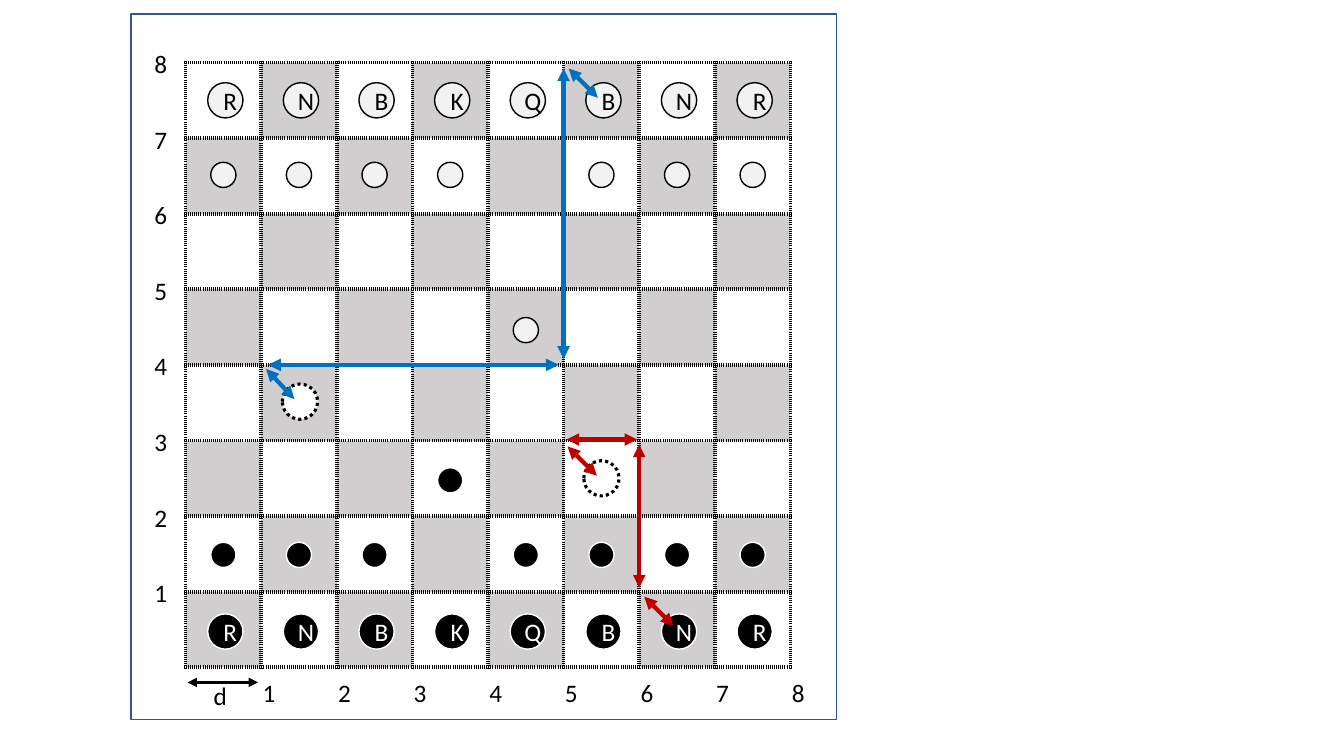
from lxml import etree
from pptx import Presentation
from pptx.dml.color import RGBColor
from pptx.enum.dml import MSO_LINE
from pptx.enum.shapes import MSO_CONNECTOR, MSO_SHAPE
from pptx.enum.text import MSO_ANCHOR, PP_ALIGN
from pptx.oxml.ns import qn
from pptx.util import Inches, Pt

RECT, OVAL = MSO_SHAPE.RECTANGLE, MSO_SHAPE.OVAL
STRAIGHT = MSO_CONNECTOR.STRAIGHT
DOTTED = MSO_LINE.ROUND_DOT
MIDDLE = MSO_ANCHOR.MIDDLE
LEFT, CENTER, RIGHT = PP_ALIGN.LEFT, PP_ALIGN.CENTER, PP_ALIGN.RIGHT

COLORS = {
    "frame": "325491",
    "square": "D0CECE",
    "black": "000000",
    "white": "FFFFFF",
    "light": "F2F2F2",
    "blue": "0070C0",
    "red": "C00000",
}
N = 8
CELL = 0.75
PAWN, PIECE = 0.25, 0.35
BACK_RANK = "RNBKQBNR"


class Board:
    font = "Calibri"
    size = 18

    def __init__(self, slide):
        self.slide = slide

    def color(self, name):
        return RGBColor.from_string(COLORS[name])

    def label(self, tf, text, color="black", align=LEFT):
        tf.text = text
        p = tf.paragraphs[0]
        p.alignment = align
        r = p.runs[0]
        r.font.name = self.font
        r.font.size = Pt(self.size)
        r.font.color.rgb = self.color(color)

    def shape(self, kind, x, y, w, h, fill, line, width=1, dash=None):
        s = self.slide.shapes.add_shape(kind, Inches(x), Inches(y), Inches(w), Inches(h))
        s.shadow.inherit = False
        if fill:
            s.fill.solid()
            s.fill.fore_color.rgb = self.color(fill)
        else:
            s.fill.background()
        s.line.color.rgb = self.color(line)
        s.line.width = Pt(width)
        if dash:
            s.line.dash_style = dash
        return s

    def pawn(self, x, y, fill, line):
        self.shape(OVAL, x, y, PAWN, PAWN, fill, line)

    def piece(self, x, y, letter, fill, line):
        tf = self.shape(OVAL, x, y, PIECE, PIECE, fill, line).text_frame
        tf.word_wrap = False
        tf.vertical_anchor = MIDDLE
        tf.margin_left = Inches(0.1)
        tf.margin_right = tf.margin_top = tf.margin_bottom = 0
        self.label(tf, letter, line, CENTER)

    def target(self, x, y):
        self.shape(OVAL, x, y, PIECE, PIECE, "white", "black", 2.25, DOTTED)

    def arrow(self, x1, y1, x2, y2, color, width=3):
        c = self.slide.shapes.add_connector(
            STRAIGHT, Inches(x1), Inches(y1), Inches(x2), Inches(y2))
        c.line.color.rgb = self.color(color)
        c.line.width = Pt(width)
        ln = c._element.spPr.find(qn("a:ln"))
        for end in ("a:headEnd", "a:tailEnd"):
            etree.SubElement(ln, qn(end), type="triangle")
        etree.SubElement(c._element.spPr, qn("a:effectLst"))

    def borders(self, cell, color):
        tcPr = cell._tc.get_or_add_tcPr()
        for i, side in enumerate(("a:lnL", "a:lnR", "a:lnT", "a:lnB")):
            ln = etree.Element(qn(side), w=str(Pt(3)))
            tcPr.insert(i, ln)
            if color:
                fill = etree.SubElement(ln, qn("a:solidFill"))
                etree.SubElement(fill, qn("a:srgbClr"), val=COLORS[color])
                etree.SubElement(ln, qn("a:prstDash"), val="sysDot")
            else:
                etree.SubElement(ln, qn("a:noFill"))

    def table(self, x, y, rows, cols, w, h, border=None):
        t = self.slide.shapes.add_table(
            rows, cols, Inches(x), Inches(y), Inches(w), Inches(h)).table
        t.first_row = t.horz_banding = False
        for cell in t.iter_cells():
            cell.fill.background()
            self.borders(cell, border)
        return t

    def checkers(self, x, y):
        t = self.table(x, y, N, N, N * CELL, N * CELL, "black")
        for row in range(N):
            for col in range(N):
                if (row + col) % 2:
                    cell = t.cell(row, col)
                    cell.fill.solid()
                    cell.fill.fore_color.rgb = self.color("square")

    def axis(self, x, y, rows, cols, w, h, values, align):
        t = self.table(x, y, rows, cols, w, h)
        for cell, value in zip(t.iter_cells(), values):
            self.label(cell.text_frame, str(value), align=align)

    def caption(self, x, y, w, h, text):
        tf = self.slide.shapes.add_textbox(
            Inches(x), Inches(y), Inches(w), Inches(h)).text_frame
        tf.word_wrap = True
        self.label(tf, text)


def main():
    prs = Presentation()
    prs.slide_width, prs.slide_height = Inches(13.33), Inches(7.5)
    board = Board(prs.slides.add_slide(prs.slide_layouts[6]))

    board.shape(RECT, 1.3, 0.14, 7, 7, None, "frame")
    board.checkers(1.84, 0.62)
    board.axis(1.43, 0.44, N, 1, 0.4, N * CELL, range(N, 0, -1), LEFT)
    board.axis(2.08, 6.68, 1, N, N * CELL, 0.41, range(1, N + 1), RIGHT)

    sides = (
        ("black", "white", 5.38, 6.09, 3, 4.64),
        ("light", "black", 1.61, 0.82, 4, 3.15),
    )
    for fill, line, pawn_y, piece_y, moved, moved_y in sides:
        for col, letter in enumerate(BACK_RANK):
            y = moved_y if col == moved else pawn_y
            board.pawn(2.09 + col * CELL, y, fill, line)
            board.piece(2.06 + col * CELL, piece_y, letter, fill, line)

    board.target(5.79, 4.57)
    board.target(2.8, 3.81)

    arrows = (
        (6.39, 5.92, 6.68, 6.21, "red"),
        (6.34, 4.41, 6.34, 5.83, "red"),
        (5.62, 4.36, 6.32, 4.36, "red"),
        (5.63, 4.43, 5.92, 4.72, "red"),
        (5.64, 0.68, 5.93, 0.97, "blue"),
        (5.59, 0.68, 5.59, 3.56, "blue"),
        (2.66, 3.62, 5.54, 3.62, "blue"),
        (2.64, 3.66, 2.92, 3.96, "blue"),
        (1.86, 6.77, 2.56, 6.77, "black", 2.25),
    )
    for arrow in arrows:
        board.arrow(*arrow)
    board.caption(2.02, 6.7, 0.38, 0.4, "d")

    prs.save("out.pptx")


if __name__ == "__main__":
    main()
